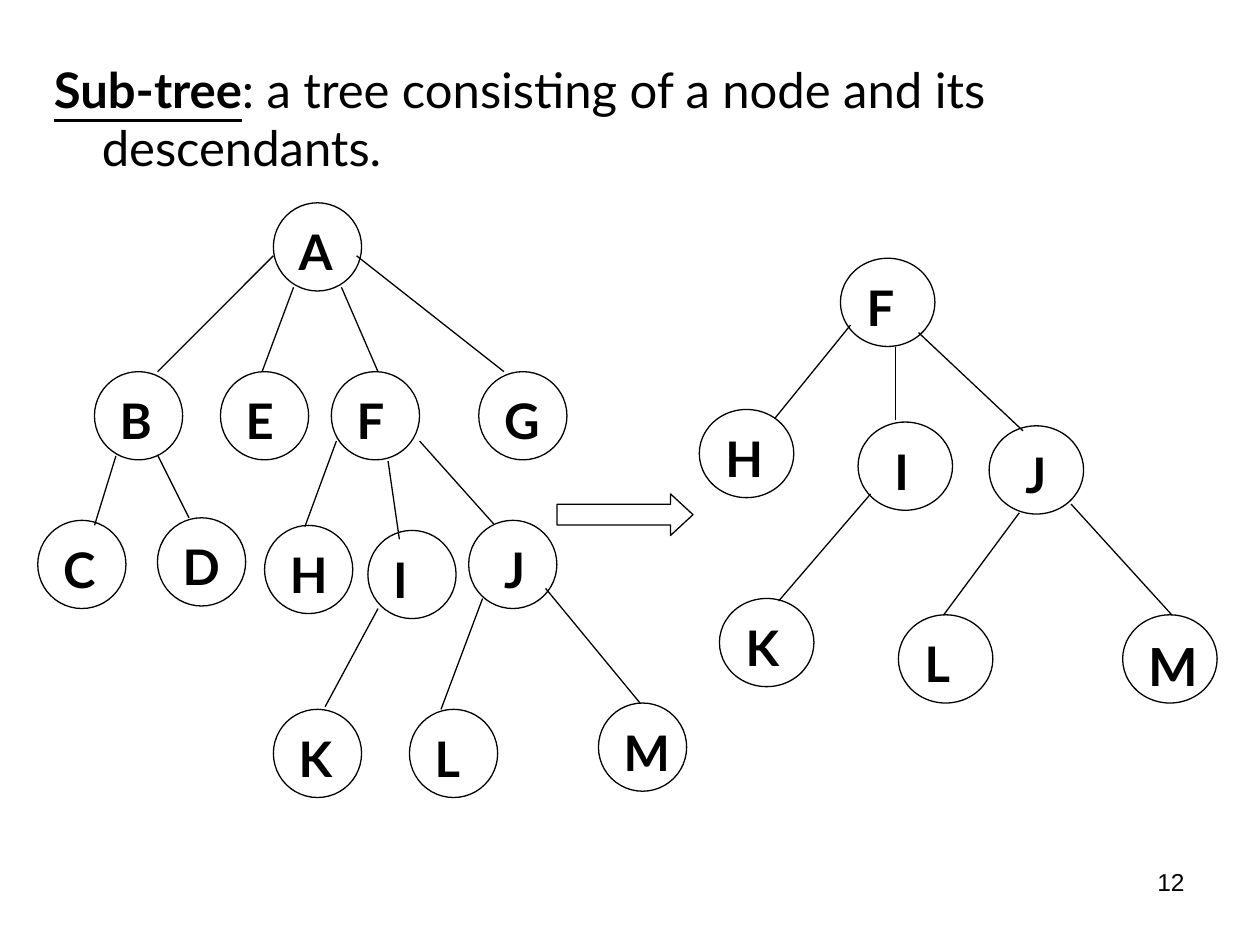
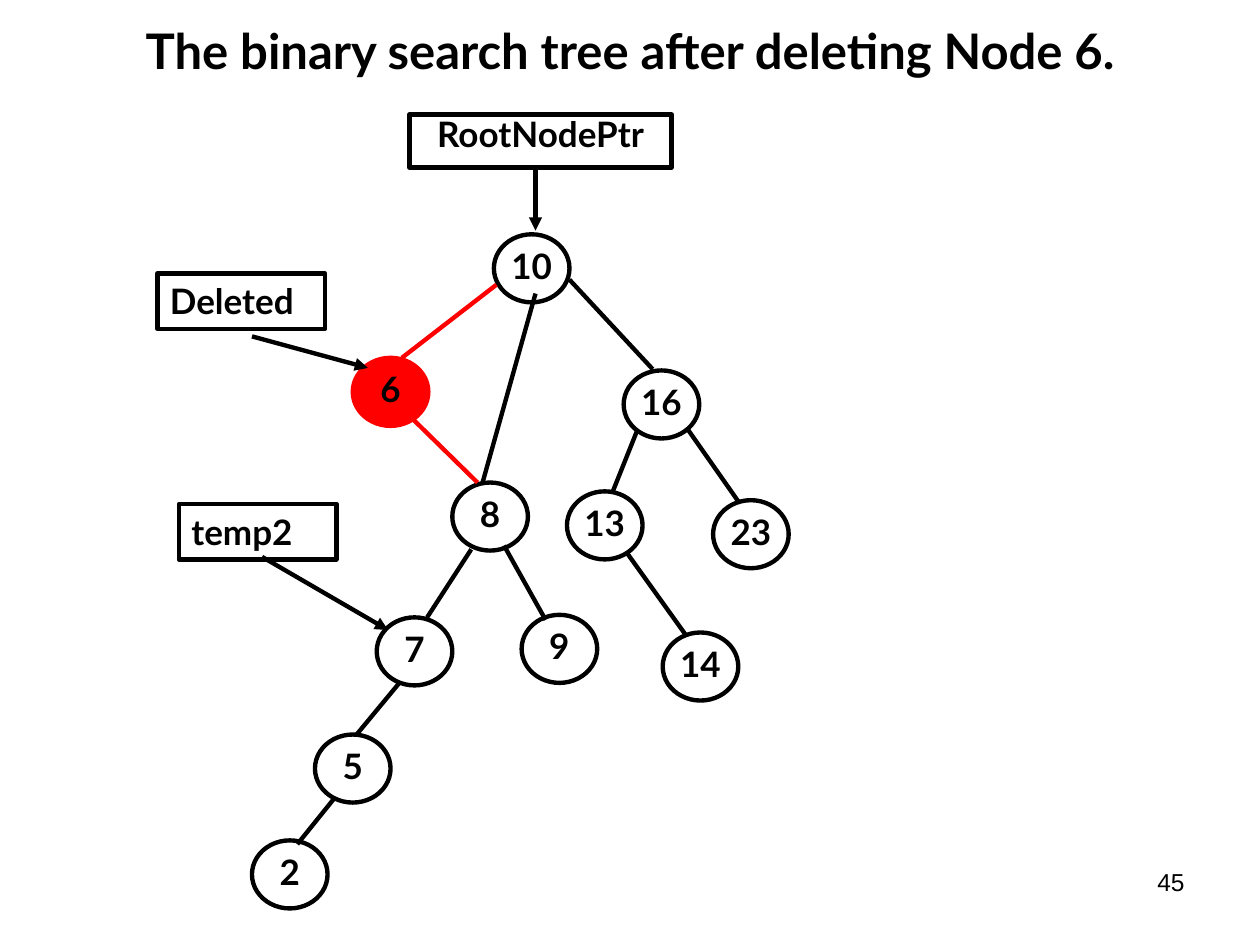
"""Build two slides on trees: a sub-tree and a binary search tree after a deletion."""
from lxml import etree
from pptx import Presentation
from pptx.dml.color import RGBColor
from pptx.enum.shapes import MSO_CONNECTOR, MSO_SHAPE
from pptx.enum.text import MSO_ANCHOR, PP_ALIGN
from pptx.oxml.ns import qn
from pptx.util import Inches, Pt

STRAIGHT = MSO_CONNECTOR.STRAIGHT
OVAL, RECTANGLE, ARROW = MSO_SHAPE.OVAL, MSO_SHAPE.RECTANGLE, MSO_SHAPE.RIGHT_ARROW
LEFT, CENTER, RIGHT = PP_ALIGN.LEFT, PP_ALIGN.CENTER, PP_ALIGN.RIGHT
TOP, MIDDLE = MSO_ANCHOR.TOP, MSO_ANCHOR.MIDDLE

BLACK = RGBColor(0x00, 0x00, 0x00)
RED = RGBColor(0xFF, 0x00, 0x00)
FONT, NUMBER_FONT = "Lato", "Arial"
HEADING_SIZE, LABEL_SIZE, NUMBER_SIZE = 28, 20, 14
THIN, THICK = 0.75, 2.5
MARGINS = (0.1, 0.05)
NARROW_INDENT = 0.08

DEFINITION = [("Sub-tree", True), (": a tree consisting of a node and its descendants.", False)]
DELETION_TITLE = "The binary search tree after deleting Node 6."

UPPER_ROW, LEAF_ROW = 2.95, 5.63
FULL_TREE = {
    "node_size": (0.7, 0.7),
    "nodes": [
        ("A", 2.17, 1.61),
        ("B", 0.75, UPPER_ROW), ("E", 1.75, UPPER_ROW),
        ("F", 2.63, UPPER_ROW), ("G", 3.8, UPPER_ROW),
        ("C", 0.3, 4.13), ("D", 1.25, 4.11), ("H", 2.1, 4.17),
        ("I", 2.92, 4.21), ("J", 3.72, 4.13, {"indent": NARROW_INDENT}),
        ("K", 2.17, LEAF_ROW), ("L", 3.25, LEAF_ROW), ("M", 4.75, 5.58),
    ],
    "edges": [
        (2.17, 2.03, 1.25, UPPER_ROW), (2.33, 2.28, 2.08, UPPER_ROW),
        (2.71, 2.28, 3, UPPER_ROW), (2.83, 2.03, 4, UPPER_ROW),
        (0.92, 3.62, 0.75, 4.17), (1.25, 3.61, 1.5, 4.11),
        (2.67, 3.5, 2.42, 4.18), (3.08, 3.66, 3.17, 4.28), (3.33, 3.5, 3.92, 4.16),
        (3, 4.83, 2.58, 5.61), (3.83, 4.75, 3.5, LEAF_ROW), (4.33, 4.67, 5.08, 5.58),
    ],
}
SUB_TREE = {
    "node_size": (0.75, 0.7),
    "nodes": [
        ("F", 6.67, 2.05),
        ("H", 5.55, 3.25), ("I", 6.81, 3.35, {"indent": NARROW_INDENT}),
        ("J", 7.85, 3.38, {"indent": NARROW_INDENT}),
        ("K", 5.71, 4.75), ("L", 7.13, 4.88), ("M", 8.91, 4.88, {"size": 30}),
    ],
    "edges": [
        (6.75, 2.58, 6.15, 3.32), (7.11, 2.75, 7.11, 3.33), (7.29, 2.64, 8.12, 3.42),
        (6.91, 3.92, 6.18, 4.77), (8.09, 4.07, 7.49, 4.88), (8.5, 4, 9.3, 4.88),
    ],
}
SEARCH_TREE = {
    "node_size": (0.6, 0.54),
    "nodes": [
        ("10", 3.92, 1.86), ("6", 2.8, 2.84, {"fill": RED, "color": RED}),
        ("16", 4.95, 2.94), ("8", 3.59, 3.83), ("13", 4.5, 3.9), ("23", 5.66, 3.97),
        ("7", 2.99, 4.9), ("9", 4.14, 4.88), ("14", 5.26, 5.02),
        ("5", 2.5, 5.83), ("2", 2, 6.67),
    ],
    "edges": [
        (4.25, 2.33, 3.83, 3.83), (4.52, 2.22, 5.18, 2.93),
        (5.06, 3.41, 4.86, 3.91), (5.46, 3.41, 5.86, 3.98), (4.97, 4.38, 5.45, 5.05),
        (3.74, 4.36, 3.39, 4.9), (4, 4.33, 4.33, 4.92),
        (3.17, 5.42, 2.83, 5.83), (2.65, 6.34, 2.36, 6.7),
    ],
}
DELETED_EDGES = [(3.94, 2.26, 3.19, 2.84), (3.27, 3.32, 3.79, 3.83)]
POINTERS = [
    ("RootNodePtr", (3.25, 0.91, 2.08, 0.42), (4.25, 1.33, 4.25, 1.83), CENTER, 0.8),
    ("Deleted", (1.25, 2.17, 1.33, 0.44), (2, 2.67, 2.92, 2.92), LEFT, 1),
    ("temp2", (1.42, 4, 1.25, 0.44), (2.08, 4.42, 3.08, 5), LEFT, 1),
]


def write(shape, runs, size, font=FONT, align=LEFT, anchor=TOP, margins=MARGINS,
          indent=0, hanging=0, spacing=1):
    """Fill a shape with one paragraph of (text, emphasis) runs."""
    frame = shape.text_frame
    frame.word_wrap = True
    frame.vertical_anchor = anchor
    frame.margin_left = frame.margin_right = Inches(margins[0])
    frame.margin_top = frame.margin_bottom = Inches(margins[1])
    paragraph = frame.paragraphs[0]
    paragraph.alignment = align
    paragraph.line_spacing = spacing
    properties = paragraph._p.get_or_add_pPr()
    properties.set("marL", str(Inches(indent + hanging)))
    properties.set("indent", str(-Inches(hanging)))
    for text, bold in runs:
        run = paragraph.add_run()
        run.text = text
        run.font.name = font
        run.font.size = Pt(size)
        run.font.bold = bold
        run.font.color.rgb = BLACK
    return paragraph


def add_text(slide, box, runs, size, **style):
    """Add a text box and return its paragraph."""
    return write(slide.shapes.add_textbox(*map(Inches, box)), runs, size, **style)


def add_outline(shapes, kind, box, width, color=BLACK, fill=None):
    """Add an outlined preset shape, filled only when a colour is given."""
    shape = shapes.add_shape(kind, *map(Inches, box))
    shape.shadow.inherit = False
    shape.line.color.rgb = color
    shape.line.width = Pt(width)
    if fill is None:
        shape.fill.background()
    else:
        shape.fill.solid()
        shape.fill.fore_color.rgb = fill
    return shape


def add_line(shapes, ends, width, color=BLACK, arrow=False):
    """Add a straight line, with an arrowhead at its end if asked."""
    line = shapes.add_connector(STRAIGHT, *map(Inches, ends))
    line.line.color.rgb = color
    line.line.width = Pt(width)
    if arrow:
        etree.SubElement(line.line._get_or_add_ln(), qn("a:tailEnd"), type="triangle")
    etree.SubElement(line._element.spPr, qn("a:effectLst"))


def add_tree(shapes, tree, width, size, **style):
    """Draw the nodes of a tree and the edges between them."""
    for label, left, top, *extra in tree["nodes"]:
        options = {"size": size, "indent": 0, "color": BLACK, "fill": None}
        options.update(*extra)
        node = add_outline(shapes, OVAL, (left, top, *tree["node_size"]), width,
                           options["color"], options["fill"])
        write(node, [(label, True)], options["size"], indent=options["indent"], **style)
    for ends in tree["edges"]:
        add_line(shapes, ends, width)


def add_slide(presentation, number):
    """Add a blank slide with its page number."""
    slide = presentation.slides.add_slide(presentation.slide_layouts[6])
    add_text(slide, (7.17, 6.83, 2.33, 0.52), [(str(number), False)], NUMBER_SIZE,
             font=NUMBER_FONT, align=RIGHT)
    return slide


def build_sub_tree_slide(presentation):
    """Show a tree and the sub-tree taken from it."""
    slide = add_slide(presentation, 12)
    definition = add_text(slide, (0.33, 0.42, 9.5, 1.1), DEFINITION, HEADING_SIZE, hanging=0.38)
    definition.runs[0].font.underline = True
    for tree in (SUB_TREE, FULL_TREE):
        add_tree(slide.shapes.add_group_shape().shapes, tree, THIN, HEADING_SIZE)
    arrow = add_outline(slide.shapes, ARROW, (4.42, 3.92, 1.08, 0.33), THIN)
    arrow.adjustments[1] = 0.54


def build_deletion_slide(presentation):
    """Show the search tree with the deleted node and the pointers."""
    slide = add_slide(presentation, 45)
    add_text(slide, (0.5, 0.17, 9, 0.45), [(DELETION_TITLE, True)], HEADING_SIZE,
             align=CENTER, anchor=MIDDLE)
    add_tree(slide.shapes, SEARCH_TREE, THICK, LABEL_SIZE, align=CENTER, margins=(0, 0))
    for ends in DELETED_EDGES:
        add_line(slide.shapes, ends, THICK, RED)
    for label, box, ends, align, spacing in POINTERS:
        pointer = add_outline(slide.shapes, RECTANGLE, box, THICK)
        write(pointer, [(label, True)], LABEL_SIZE, align=align, spacing=spacing)
        add_line(slide.shapes, ends, THICK, arrow=True)


def main():
    """Build and save the presentation."""
    presentation = Presentation()
    presentation.slide_width, presentation.slide_height = Inches(10), Inches(7.5)
    build_sub_tree_slide(presentation)
    build_deletion_slide(presentation)
    presentation.save("out.pptx")


if __name__ == "__main__":
    main()
